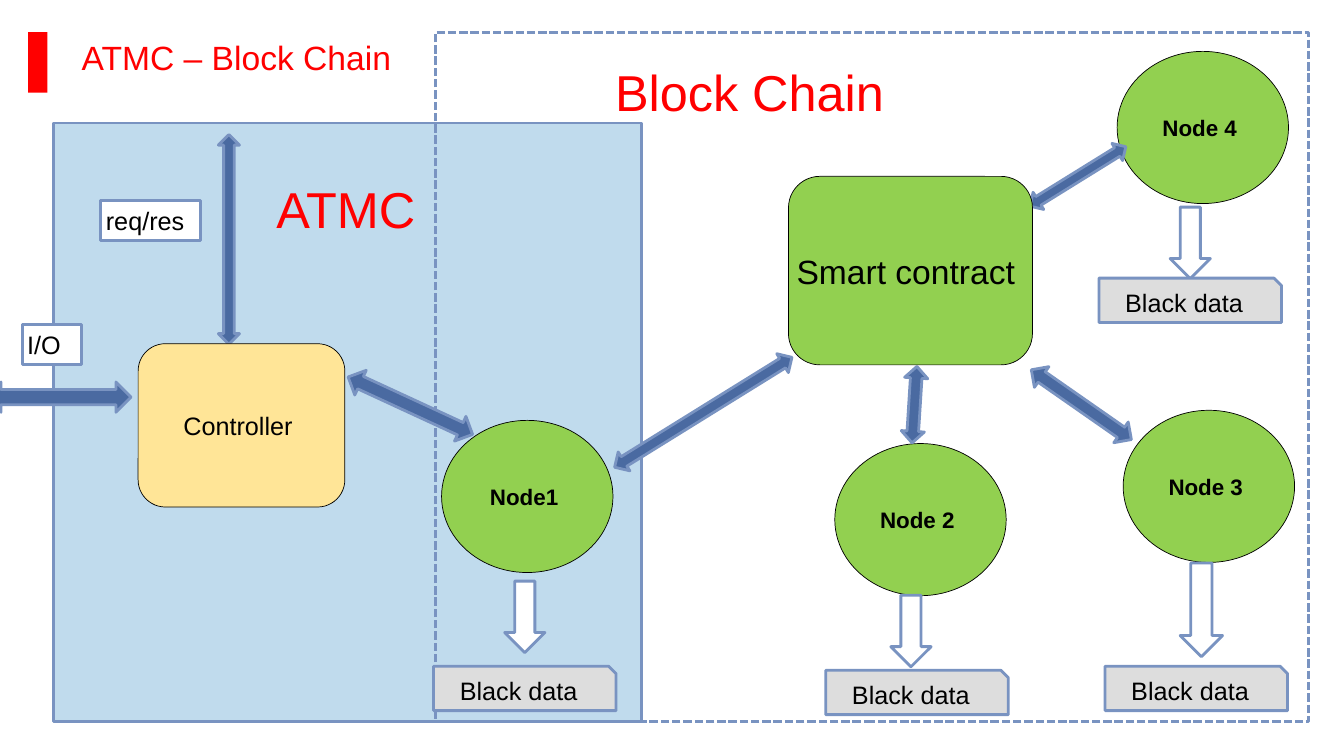
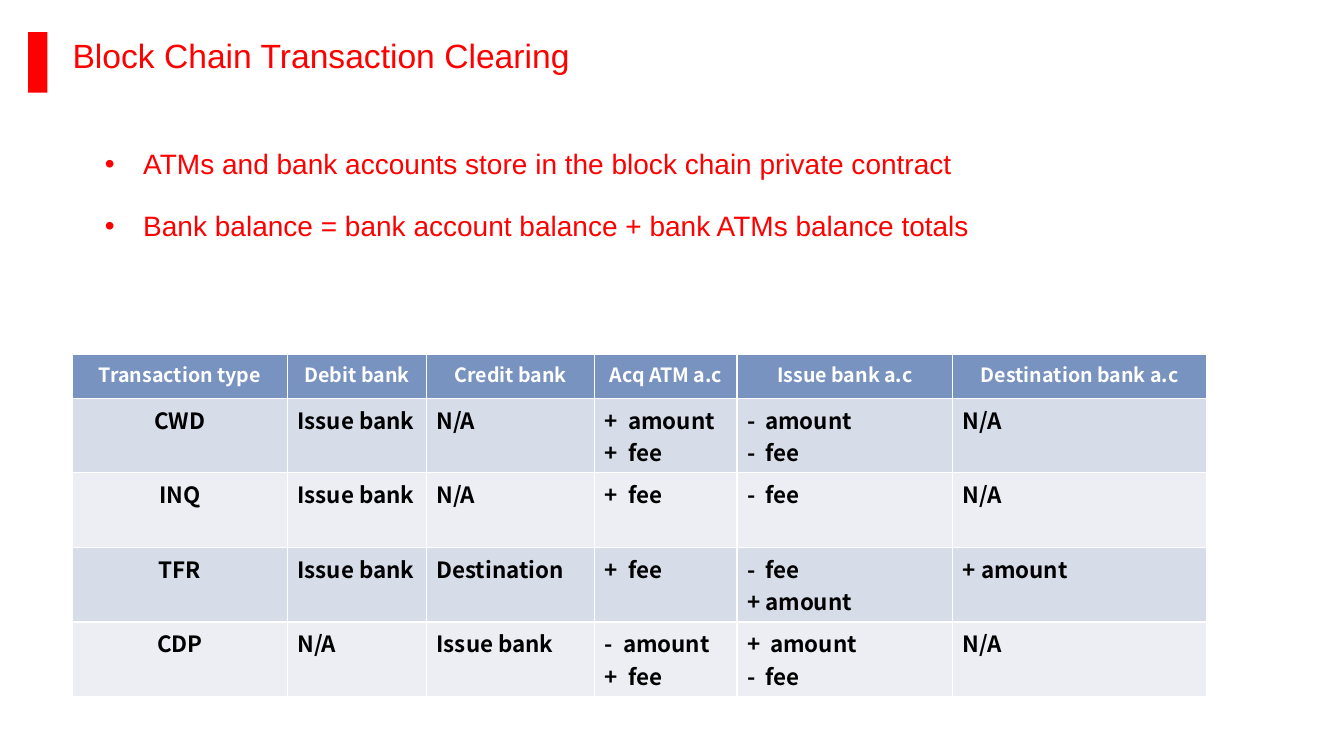
from lxml.etree import SubElement
from pptx import Presentation
from pptx.dml.color import RGBColor
from pptx.enum.dml import MSO_LINE
from pptx.enum.shapes import MSO_SHAPE
from pptx.enum.text import MSO_ANCHOR, MSO_AUTO_SIZE, PP_ALIGN
from pptx.oxml.ns import qn
from pptx.util import Emu, Pt

EMU_PER_PX = 9144
COLORS = {
    "red": "FF0000", "black": "000000", "white": "FFFFFF",
    "outline": "7993C1", "arrow": "4A6AA1", "region": "C0DBED",
    "green": "92D050", "yellow": "FFE597", "gray": "DDDDDD",
    "band_dark": "D7DCE9", "band_light": "ECEEF4",
}
TABLE_FONT = "Noto Sans CJK TC"
TITLE_ONLY, TITLE_AND_CONTENT = 5, 1
TAB_AFTER_SIGN = {"+": 23, "-": 18}


def px(length):
    return Emu(round(length * EMU_PER_PX))


def rgb(name):
    return RGBColor.from_string(COLORS[name])


def set_insets(target, insets):
    (target.margin_left, target.margin_top,
     target.margin_right, target.margin_bottom) = map(px, insets)


def write_text(frame, text, size=18, color="black", bold=False, font="Arial",
               align=PP_ALIGN.LEFT, spacing=None, gap=0, bullet=None):
    for index, line in enumerate(text.split("\n")):
        paragraph = frame.paragraphs[0] if index == 0 else frame.add_paragraph()
        properties = paragraph._p.get_or_add_pPr()
        if bullet:
            properties.set("marL", str(px(38)))
            properties.set("indent", str(px(-38)))
            SubElement(properties, qn("a:buFont"), typeface="Arial")
            SubElement(properties, qn("a:buChar"), char=bullet)
        if "\t" in line:
            tabs = SubElement(properties, qn("a:tabLst"))
            SubElement(tabs, qn("a:tab"), pos=str(px(TAB_AFTER_SIGN[line[0]])), algn="l")
        paragraph.alignment = align
        paragraph.space_before = Pt(gap if index else 0)
        if spacing:
            paragraph.line_spacing = spacing
        run = paragraph.add_run()
        run.text = line
        run.font.size = Pt(size)
        run.font.bold = bold
        run.font.name = font
        run.font.color.rgb = rgb(color)


class Deck:
    def __init__(self):
        self.presentation = Presentation()
        self.presentation.slide_width = px(1333)
        self.presentation.slide_height = px(750)
        self.slide = None

    def new_slide(self, layout, title, left, top):
        self.slide = self.presentation.slides.add_slide(
            self.presentation.slide_layouts[layout])
        self.placeholder(self.slide.shapes.title, left, top, title, size=24)

    def placeholder(self, holder, left, top, text, **style):
        holder.left, holder.top = px(left), px(top)
        holder.width, holder.height = px(1185), px(69)
        frame = holder.text_frame
        frame.auto_size = MSO_AUTO_SIZE.NONE
        frame.vertical_anchor = MSO_ANCHOR.TOP
        frame.word_wrap = True
        set_insets(frame, (0, 0, 0, 2))
        write_text(frame, text, color="red", spacing=0.9, **style)

    def bullets(self, left, top, items):
        self.placeholder(self.slide.placeholders[1], left, top, "\n".join(items),
                         size=20, gap=23, bullet="•")

    def shape(self, kind, box, fill=None, line="outline", weight=2, rotation=0):
        shape = self.slide.shapes.add_shape(kind, *map(px, box))
        shape.shadow.inherit = False
        shape.rotation = rotation
        if fill:
            shape.fill.solid()
            shape.fill.fore_color.rgb = rgb(fill)
        else:
            shape.fill.background()
        if line:
            shape.line.color.rgb = rgb(line)
            shape.line.width = Pt(weight)
        else:
            shape.line.fill.background()
        return shape

    def master_bar(self):
        bar = self.shape(MSO_SHAPE.RECTANGLE, (28, 32, 19, 60), "red", None)
        self.presentation.slide_master.shapes._spTree.append(bar._element)

    def double_arrow(self, box, rotation=0):
        self.shape(MSO_SHAPE.LEFT_RIGHT_ARROW, box, "arrow", rotation=rotation)

    def block(self, kind, box, fill, text, **style):
        block = self.shape(kind, box, fill, "black", 0.5)
        frame = block.text_frame
        frame.word_wrap = False
        frame.vertical_anchor = MSO_ANCHOR.MIDDLE
        write_text(frame, text, align=PP_ALIGN.CENTER, **style)

    def label(self, box, text, kind=MSO_SHAPE.RECTANGLE, fill="white", indent=5):
        frame = self.shape(kind, box, fill).text_frame
        frame.word_wrap = True
        frame.vertical_anchor = MSO_ANCHOR.MIDDLE
        set_insets(frame, (indent, 5, 5, 5))
        write_text(frame, text)

    def heading(self, box, text):
        frame = self.slide.shapes.add_textbox(*map(px, box)).text_frame
        frame.word_wrap = True
        frame.vertical_anchor = MSO_ANCHOR.MIDDLE
        set_insets(frame, (5, 5, 5, 5))
        write_text(frame, text, size=36, color="red")

    def cell_borders(self, cell):
        properties = cell._tc.get_or_add_tcPr()
        for index, side in enumerate(("lnL", "lnR", "lnT", "lnB")):
            border = SubElement(properties, qn(f"a:{side}"), w=str(Pt(1)))
            solid = SubElement(border, qn("a:solidFill"))
            SubElement(solid, qn("a:srgbClr"), val=COLORS["white"])
            properties.insert(index, border)

    def table(self, left, top, widths, heights, rows):
        table = self.slide.shapes.add_table(
            len(rows), len(widths), px(left), px(top),
            px(sum(widths)), px(sum(heights))).table
        for column, width in zip(table.columns, widths):
            column.width = px(width)
        for row, height in zip(table.rows, heights):
            row.height = px(height)
        for row_index, row in enumerate(rows):
            header = row_index == 0
            band = "band_dark" if row_index % 2 else "band_light"
            for column_index, text in enumerate(row):
                cell = table.cell(row_index, column_index)
                self.cell_borders(cell)
                cell.fill.solid()
                cell.fill.fore_color.rgb = rgb("outline" if header else band)
                centred = header or column_index == 0
                write_text(cell.text_frame, text, size=14 if header else 16,
                           color="white" if header else "black", bold=True,
                           font=TABLE_FONT,
                           align=PP_ALIGN.CENTER if centred else PP_ALIGN.LEFT)


def build_architecture(deck):
    deck.new_slide(TITLE_ONLY, "ATMC – Block Chain", 81, 41)
    deck.master_bar()
    deck.shape(MSO_SHAPE.RECTANGLE, (53, 122, 583, 594), "region")
    chain_region = deck.shape(MSO_SHAPE.RECTANGLE, (432, 32, 866, 684))
    chain_region.line.dash_style = MSO_LINE.SQUARE_DOT

    nodes = [
        ("Node1 ", (438, 417), (485, 592, 71, 40), (430, 661)),
        ("Node 2 ", (828, 440), (868, 606, 71, 40), (819, 665)),
        ("Node 3 ", (1114, 407), (1145, 584, 93, 42), (1096, 661)),
        ("Node 4 ", (1108, 51), (1145, 221, 71, 40), (1090, 276)),
    ]
    for name, node_corner, down_arrow, data_corner in nodes:
        deck.block(MSO_SHAPE.OVAL, (*node_corner, 170, 151), "green", name,
                   size=16, bold=True)
        deck.shape(MSO_SHAPE.RIGHT_ARROW, down_arrow, "white", rotation=90)
        deck.label((*data_corner, 181, 44), "Black data",
                   MSO_SHAPE.SNIP_1_RECTANGLE, "gray", indent=26)

    deck.label((22, 322, 59, 40), "I/O")
    deck.label((100, 199, 99, 40), "req/res")

    links = [
        ((-14, 379, 144, 30), 0),
        ((123, 227, 208, 21), 90),
        ((594, 398, 207, 22), 148.2),
        ((339, 389, 136, 27), 24.8),
        ((869, 390, 76, 23), 93.6),
        ((1012, 389, 121, 25), 34.9),
        ((1013, 165, 112, 20), 148.2),
    ]
    for box, rotation in links:
        deck.double_arrow(box, rotation)

    deck.block(MSO_SHAPE.ROUNDED_RECTANGLE, (137, 341, 205, 162), "yellow",
               "Controller ")
    deck.block(MSO_SHAPE.ROUNDED_RECTANGLE, (782, 175, 242, 187), "green",
               "Smart contract ", size=24)
    deck.heading((269, 171, 162, 71), "ATMC")
    deck.heading((605, 55, 311, 71), "Block Chain")


def build_clearing(deck):
    deck.new_slide(TITLE_AND_CONTENT, "Block Chain Transaction Clearing", 72, 39)
    deck.bullets(104, 149, [
        "ATMs and bank accounts store in the block chain private contract",
        "Bank balance = bank account balance + bank ATMs balance totals",
    ])
    deck.table(72, 352, [213, 138, 167, 141, 214, 252], [43] + [74] * 4, [
        ["Transaction type", "Debit bank", "Credit bank", "Acq ATM a.c",
         "Issue bank a.c", "Destination bank a.c"],
        ["CWD", "Issue bank", "N/A", "+\tamount\n+\tfee", "-\tamount\n-\tfee", "N/A"],
        ["INQ", "Issue bank", "N/A", "+\tfee", "-\tfee", "N/A"],
        ["TFR", "Issue bank", "Destination", "+\tfee", "-\tfee\n+ amount", "+ amount"],
        ["CDP", "N/A", "Issue bank", "-\tamount\n+\tfee", "+\tamount\n-\tfee", "N/A"],
    ])


def main():
    deck = Deck()
    build_architecture(deck)
    build_clearing(deck)
    deck.presentation.save("out.pptx")


if __name__ == "__main__":
    main()
